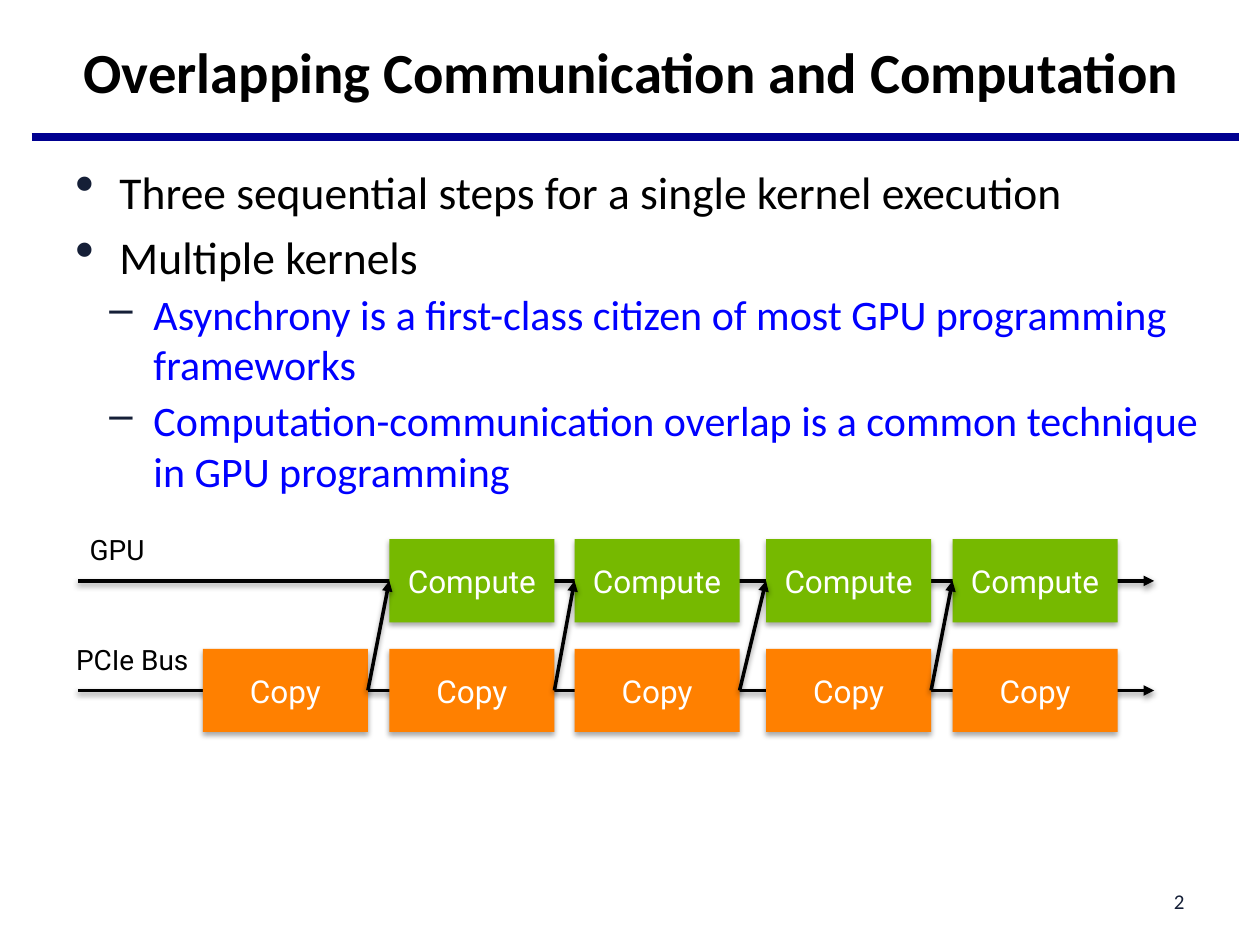
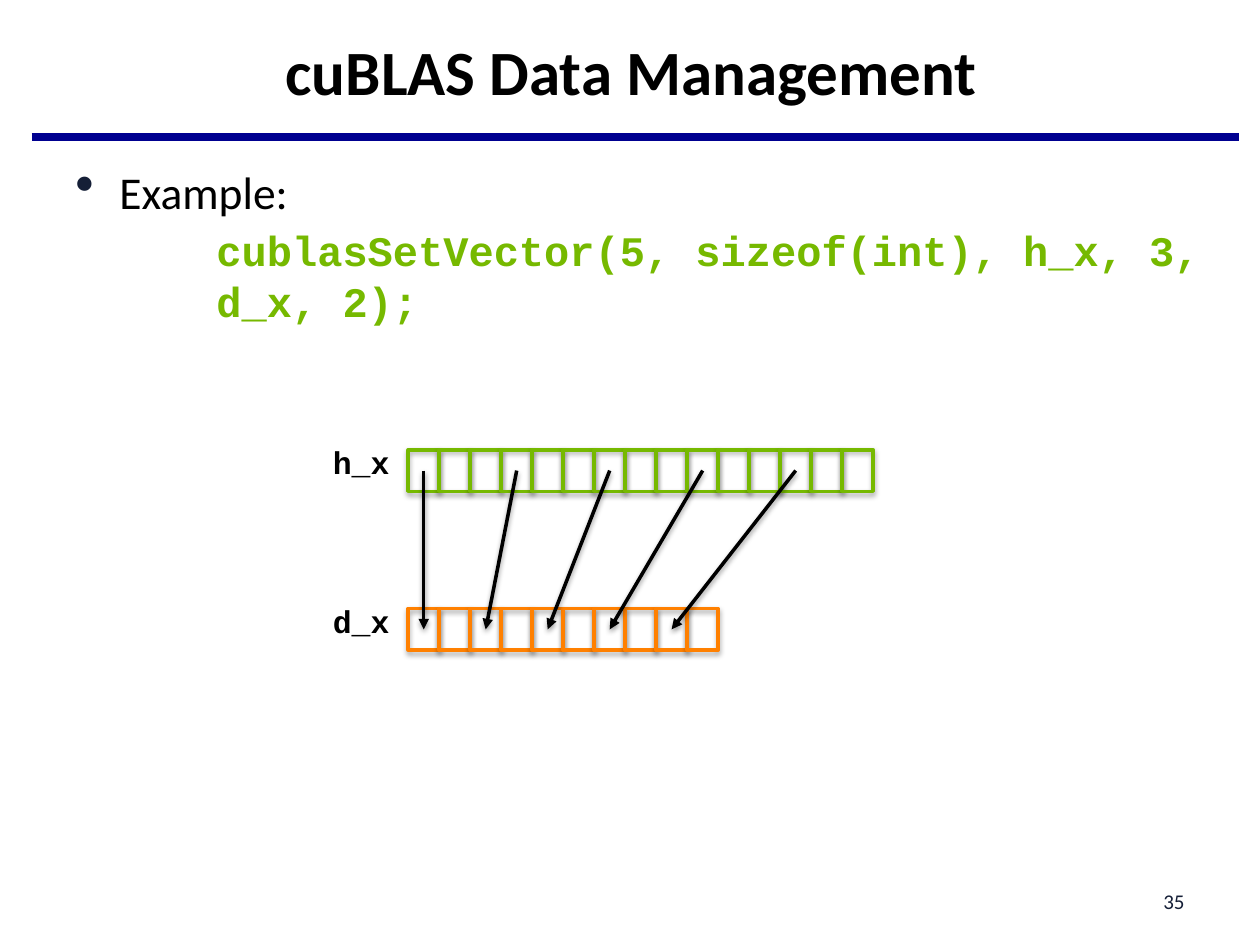
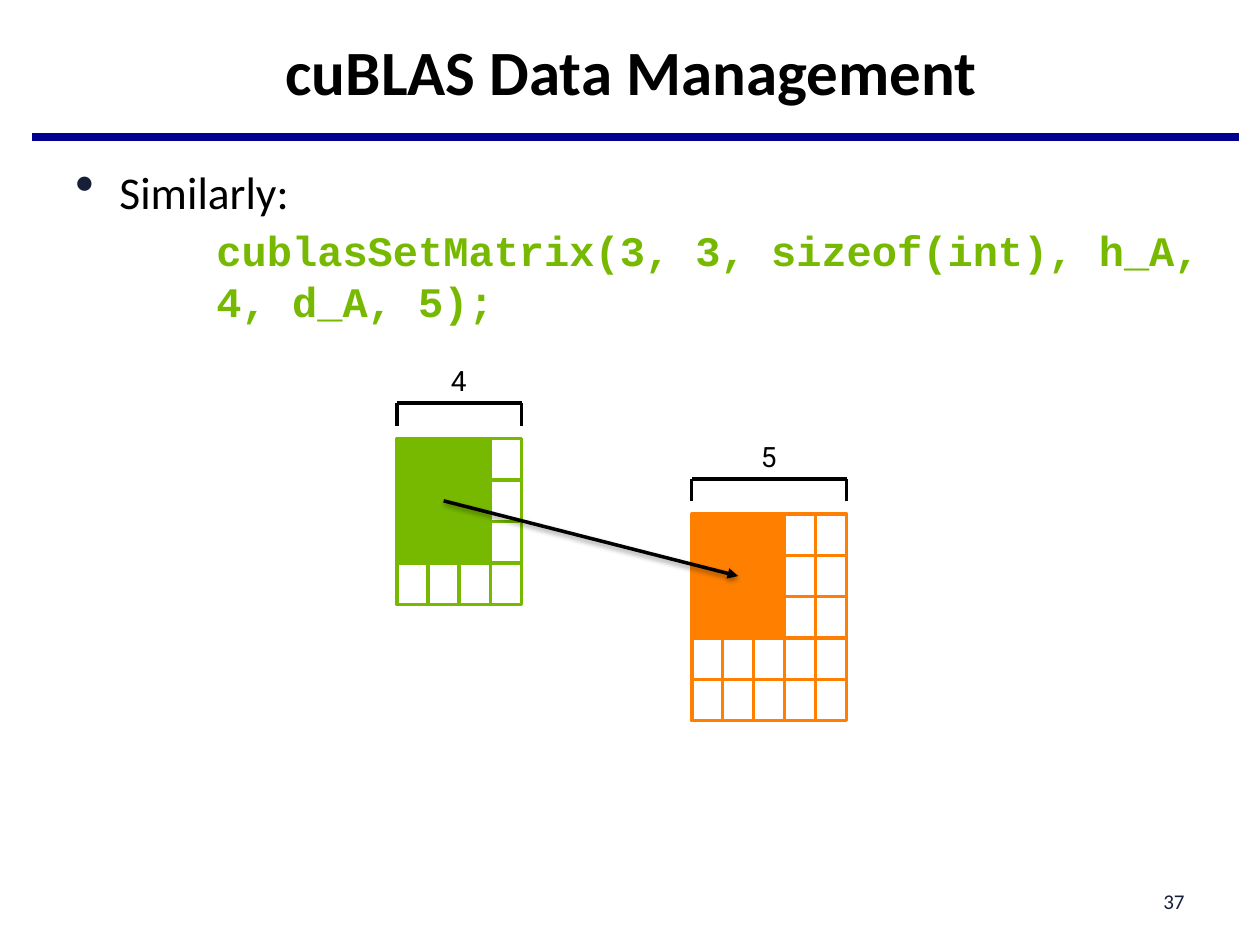
from typing import NamedTuple

from lxml.etree import SubElement
from pptx import Presentation
from pptx.dml.color import RGBColor
from pptx.enum.shapes import MSO_CONNECTOR, MSO_SHAPE
from pptx.enum.text import MSO_ANCHOR, PP_ALIGN
from pptx.oxml.ns import qn
from pptx.util import Inches, Pt

INK = {"black": "000000", "white": "FFFFFF", "navy": "000090", "slate": "151F37",
       "blue": "0000FF", "green": "76B900", "orange": "FF8000"}
SANS, MONO, LABEL = "Calibri", "Courier New", "Roboto"


class Box(NamedTuple):
    """A rectangle in inches on the 10 by 7.5 page grid."""
    left: float
    top: float
    wide: float
    high: float

    def inset(self, x, y, wide, high):
        """Return a box offset from this one's corner."""
        return Box(self.left + x, self.top + y, wide, high)

    def cell(self, col, row, cols, rows):
        """Return one cell of an even grid over this box."""
        wide, high = self.wide / cols, self.high / rows
        return self.inset(col * wide, row * high, wide, high)

    def mid(self):
        """Return the centre point."""
        return self.left + self.wide / 2, self.top + self.high / 2

    def size(self):
        """Return the four lengths for a new shape."""
        return [Inches(v) for v in self]


class Style(NamedTuple):
    """Level of a body paragraph."""
    size: int
    tint: str
    left: float
    hang: float
    before: int
    mark: str = ""
    scale: int = 100
    font: str = SANS
    bold: bool = False
    pitch: float = 0


LEVELS = {
    "point": Style(26, "black", 0.35, -0.35, 6, "•", 120),
    "dash": Style(24, "blue", 0.62, -0.35, 3, "–"),
    "code": Style(24, "green", 1.12, 0, 3, font=MONO, bold=True, pitch=29.3),
}
PAGE = Box(0, 0, 10, 7.5)
HEAD = PAGE.inset(0.51, 0.17, 9, 0.78)
BODY = PAGE.inset(0.5, 1.25, 9.33, 5.7)
FOOT = PAGE.inset(7.17, 6.95, 2.33, 0.4)


def tone(name):
    """Return a palette colour."""
    return RGBColor.from_string(INK[name])


def shade(item, alpha=0, drop=0.0):
    """Set a soft shadow below an item, or none."""
    effects = SubElement(item._element.spPr, qn("a:effectLst"))
    if alpha:
        cast = SubElement(effects, qn("a:outerShdw"), blurRad=str(Pt(3.1)),
                          dist=str(Pt(drop)), dir="5400000", rotWithShape="0")
        tint = SubElement(cast, qn("a:srgbClr"), val=INK["black"])
        SubElement(tint, qn("a:alpha"), val=str(alpha * 1000))


def write(para, text, size, tint="black", font=SANS, bold=False):
    """Add one run to a paragraph."""
    run = para.add_run()
    run.text = text
    run.font.size, run.font.name, run.font.bold = Pt(size), font, bold
    run.font.color.rgb = tone(tint)


def label(slide, box, text, size, align=PP_ALIGN.CENTER, anchor=MSO_ANCHOR.TOP, **look):
    """Place one line of text in a box."""
    frame = slide.shapes.add_textbox(*box.size()).text_frame
    frame.word_wrap, frame.vertical_anchor = True, anchor
    para = frame.paragraphs[0]
    para.alignment = align
    write(para, text, size, **look)


def line(slide, start, end, tint="black", width=2.0, arrow=False):
    """Draw a line, or a shadowed arrow."""
    points = [Inches(v) for v in (*start, *end)]
    link = slide.shapes.add_connector(MSO_CONNECTOR.STRAIGHT, *points)
    link.line.color.rgb, link.line.width = tone(tint), Pt(width)
    if arrow:
        SubElement(link._element.spPr.find(qn("a:ln")), qn("a:tailEnd"), type="triangle")
    shade(link, 38 if arrow else 0, 1.6)


def block(slide, box, fill=None, edge=None, cast=False):
    """Draw a rectangle and return it."""
    shape = slide.shapes.add_shape(MSO_SHAPE.RECTANGLE, *box.size())
    if fill:
        shape.fill.solid()
        shape.fill.fore_color.rgb = tone(fill)
    else:
        shape.fill.background()
    if edge:
        shape.line.color.rgb, shape.line.width = tone(edge), Pt(2)
    else:
        shape.line.fill.background()
    shade(shape, 35 if cast else 0, 1.8)
    return shape


def body(slide, box, items):
    """Write the list of (level, text) items."""
    frame = slide.shapes.add_textbox(*box.size()).text_frame
    frame.word_wrap = True
    for i, (level, text) in enumerate(items):
        para = frame.add_paragraph() if i else frame.paragraphs[0]
        style = LEVELS[level]
        para.space_before = Pt(style.before)
        if style.pitch:
            para.line_spacing = Pt(style.pitch)
        props = para._p.get_or_add_pPr()
        props.set("marL", str(Inches(style.left)))
        props.set("indent", str(Inches(style.hang)))
        if style.mark:
            tint = SubElement(props, qn("a:buClr"))
            SubElement(tint, qn("a:srgbClr"), val=INK["slate"])
            SubElement(props, qn("a:buSzPct"), val=str(style.scale * 1000))
            SubElement(props, qn("a:buChar"), char=style.mark)
        write(para, text, style.size, style.tint, style.font, style.bold)


def page(deck, title, number, items, size=36.0):
    """Add a slide with title, rule, list and page number."""
    slide = deck.slides.add_slide(deck.slide_layouts[6])
    line(slide, (0.25, 1.09), (9.83, 1.09), "navy", 4.5)
    label(slide, HEAD, title, size, anchor=MSO_ANCHOR.MIDDLE, bold=True)
    body(slide, BODY, items)
    label(slide, FOOT, str(number), 12, PP_ALIGN.RIGHT, MSO_ANCHOR.MIDDLE, tint="slate")
    return slide


def lanes(slide, box):
    """Draw the two time lanes with copy and compute steps."""
    starts = (0.99, 2.47, 3.94, 5.46, 6.94)
    wide, high = 1.31, 0.66
    low = box.high - high
    tracks = (("PCIe Bus", low, 0.43, "Copy", "orange", starts),
              ("GPU", 0, 0.31, "Compute", "green", starts[1:]))
    for name, y, centre, *_ in tracks:
        axis = box.inset(0, y, box.wide, high)
        level = axis.mid()[1]
        line(slide, (axis.left, level), (axis.left + axis.wide, level), arrow=True)
        label(slide, axis.inset(centre - 0.72, -0.1, 1.44, 0.37), name, 16, font=LABEL)
    for _, y, _, step, fill, places in tracks:
        for x in places:
            shape = block(slide, box.inset(x, y, wide, high), fill, cast=True)
            shape.text_frame.vertical_anchor = MSO_ANCHOR.MIDDLE
            para = shape.text_frame.paragraphs[0]
            para.alignment = PP_ALIGN.CENTER
            write(para, step, 18, "white", LABEL)
    for old, new in zip(starts, starts[1:]):
        source, target = box.inset(old + wide, low, 0, high), box.inset(new, 0, 0, high)
        line(slide, source.mid(), target.mid(), arrow=True)


def grid(slide, box, cols, rows, tint, full=0, cast=False):
    """Draw a grid whose first full columns and rows are filled."""
    for row in range(rows):
        for col in range(cols):
            fill = tint if max(row, col) < full else None
            block(slide, box.cell(col, row, cols, rows), fill, tint, cast)


def strips(slide, box):
    """Draw two vectors and the strided copies between them."""
    unit, high = box.wide / 15, 0.33
    host = box.inset(0, 0, box.wide, high)
    device = box.inset(0, box.high - high, 10 * unit, high)
    for name, strip, cols, tint in (("h_x", host, 15, "green"),
                                    ("d_x", device, 10, "orange")):
        grid(slide, strip, cols, 1, tint, cast=True)
        label(slide, strip.inset(-0.91, -0.1, 0.86, 0.4), name, 18, PP_ALIGN.RIGHT,
              font=MONO, bold=True)
    for i in range(5):
        line(slide, host.cell(3 * i, 0, 15, 1).mid(), device.cell(2 * i, 0, 10, 1).mid(),
             arrow=True)


def brace(slide, box, text):
    """Draw a square bracket above a grid with its count."""
    left, right = box.left, box.left + box.wide
    top, foot = box.top - 0.28, box.top - 0.1
    line(slide, (left, top), (right, top))
    for x in (left, right):
        line(slide, (x, foot), (x, top))
    label(slide, box.inset(box.wide / 2 - 0.21, -0.64, 0.41, 0.37), text, 16, font=LABEL)


def blocks(slide, box):
    """Draw two matrices and the copy of the filled block."""
    host = box.inset(0, 0, 0.99, 1.32)
    device = box.inset(box.wide - 1.23, box.high - 1.64, 1.23, 1.64)
    for matrix, count, tint in ((host, 4, "green"), (device, 5, "orange")):
        grid(slide, matrix, count, count, tint, full=3)
        brace(slide, matrix, str(count))
    line(slide, host.cell(1, 1, 4, 4).mid(), device.cell(1, 1, 5, 5).mid(), arrow=True)


def main():
    """Build and save the deck."""
    deck = Presentation()
    deck.slide_width, deck.slide_height = Inches(PAGE.wide), Inches(PAGE.high)
    lanes(page(deck, "Overlapping Communication and Computation", 2, [
        ("point", "Three sequential steps for a single kernel execution"),
        ("point", "Multiple kernels"),
        ("dash", "Asynchrony is a first-class citizen of most GPU programming frameworks"),
        ("dash", "Computation-communication overlap is a common technique in GPU programming"),
    ], 32.4), PAGE.inset(0.62, 4.28, 8.54, 1.53))
    strips(page(deck, "cuBLAS Data Management", 35, [
        ("point", "Example:"),
        ("code", "cublasSetVector(5, sizeof(int), h_x, 3, d_x, 2);"),
    ]), PAGE.inset(3.24, 3.57, 3.69, 1.59))
    blocks(page(deck, "cuBLAS Data Management", 37, [
        ("point", "Similarly:"),
        ("code", "cublasSetMatrix(3, 3, sizeof(int), h_A, 4, d_A, 5);"),
    ]), PAGE.inset(3.15, 3.48, 3.57, 2.24))
    deck.save("out.pptx")


if __name__ == "__main__":
    main()
